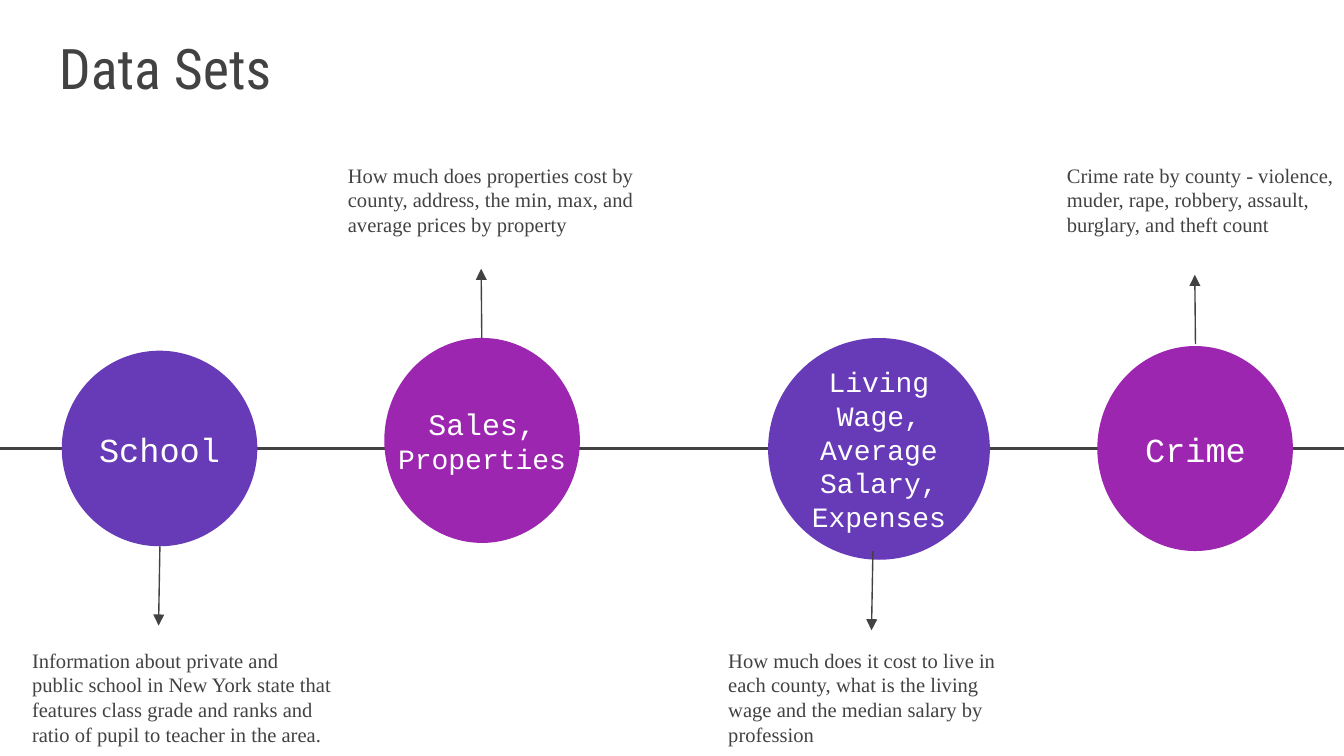
"""Build the Data Sets timeline slide."""
from lxml import etree
from pptx import Presentation
from pptx.dml.color import RGBColor
from pptx.enum.shapes import MSO_CONNECTOR, MSO_SHAPE
from pptx.enum.text import MSO_ANCHOR as ANCHOR, PP_ALIGN as ALIGN
from pptx.oxml.ns import qn
from pptx.util import Pt

PX = 4572
COLORS = {"ink": "424242", "violet": "673AB7", "magenta": "9C26B0", "white": "FFFFFF"}

prs = Presentation()
prs.slide_width, prs.slide_height = 2000 * PX, 1125 * PX
slide = prs.slides.add_slide(prs.slide_layouts[6])
shapes = slide.shapes


def add_text(box, paragraphs, font, color, anchor=ANCHOR.TOP, align=ALIGN.LEFT):
    frame = shapes.add_textbox(*(v * PX for v in box)).text_frame
    frame.word_wrap = True
    frame.vertical_anchor = anchor
    frame.margin_left = frame.margin_right = 20 * PX
    frame.margin_top = frame.margin_bottom = 20 * PX
    for i, runs in enumerate(paragraphs):
        paragraph = frame.paragraphs[0] if i == 0 else frame.add_paragraph()
        paragraph.alignment = align
        for words, size in runs:
            run = paragraph.add_run()
            run.text = words
            run.font.name = font
            run.font.size = Pt(size)
            run.font.color.rgb = RGBColor.from_string(COLORS[color])


def add_line(ends, width, arrow=False):
    line = shapes.add_connector(MSO_CONNECTOR.STRAIGHT, *(v * PX for v in ends))
    line.line.color.rgb = RGBColor.from_string(COLORS["ink"])
    line.line.width = Pt(width)
    if arrow:
        etree.SubElement(line.line._get_or_add_ln(), qn("a:tailEnd"), type="triangle")
    etree.SubElement(line._element.spPr, qn("a:effectLst"))


add_line((-2, 667, 2000, 667), 1.5)
add_text((68, 10, 1864, 160), [[("Data Sets", 30)]], "Roboto Condensed", "ink", ANCHOR.BOTTOM)

data_sets = [
    ("violet", (92, 522, 291, 291), (92, 602, 291, 132), [[("School", 18)]],
     (238, 813, 236, 931), (28, 944, 486, 184),
     "Information about private and public school in New York state that features "
     "class grade and ranks and ratio of pupil to teacher in the area."),
    ("magenta", (572, 503, 291, 305), (572, 584, 291, 144),
     [[("Sales, ", 16), ("Properties ", 15)]],
     (717, 503, 716, 400), (498, 222, 494, 184),
     "How much does properties cost by county, address, the min, max, and "
     "average prices by property"),
    ("violet", (1143, 503, 330, 330), (1143, 523, 330, 290),
     [[("Living Wage, Average Salary,", 15)], [("Expenses", 15)]],
     (1299, 820, 1297, 938), (1064, 944, 478, 184),
     "How much does it cost to live in each county, what is the living wage and "
     "the median salary by profession"),
    ("magenta", (1633, 515, 291, 305), (1668, 602, 222, 132), [[("Crime", 18)]],
     (1779, 512, 1778, 409), (1568, 222, 494, 184),
     "Crime rate by county - violence, muder, rape, robbery, assault, burglary, "
     "and theft count"),
]

for color, circle_box, label_box, label, arrow, description_box, description in data_sets:
    circle = shapes.add_shape(MSO_SHAPE.OVAL, *(v * PX for v in circle_box))
    circle.shadow.inherit = False
    circle.fill.solid()
    circle.fill.fore_color.rgb = RGBColor.from_string(COLORS[color])
    circle.line.fill.background()
    add_text(label_box, label, "Courier New", "white", ANCHOR.MIDDLE, ALIGN.CENTER)
    add_line(arrow, 0.75, arrow=True)
    add_text(description_box, [[(description, 11)]], "Times New Roman", "ink")

prs.save("out.pptx")
